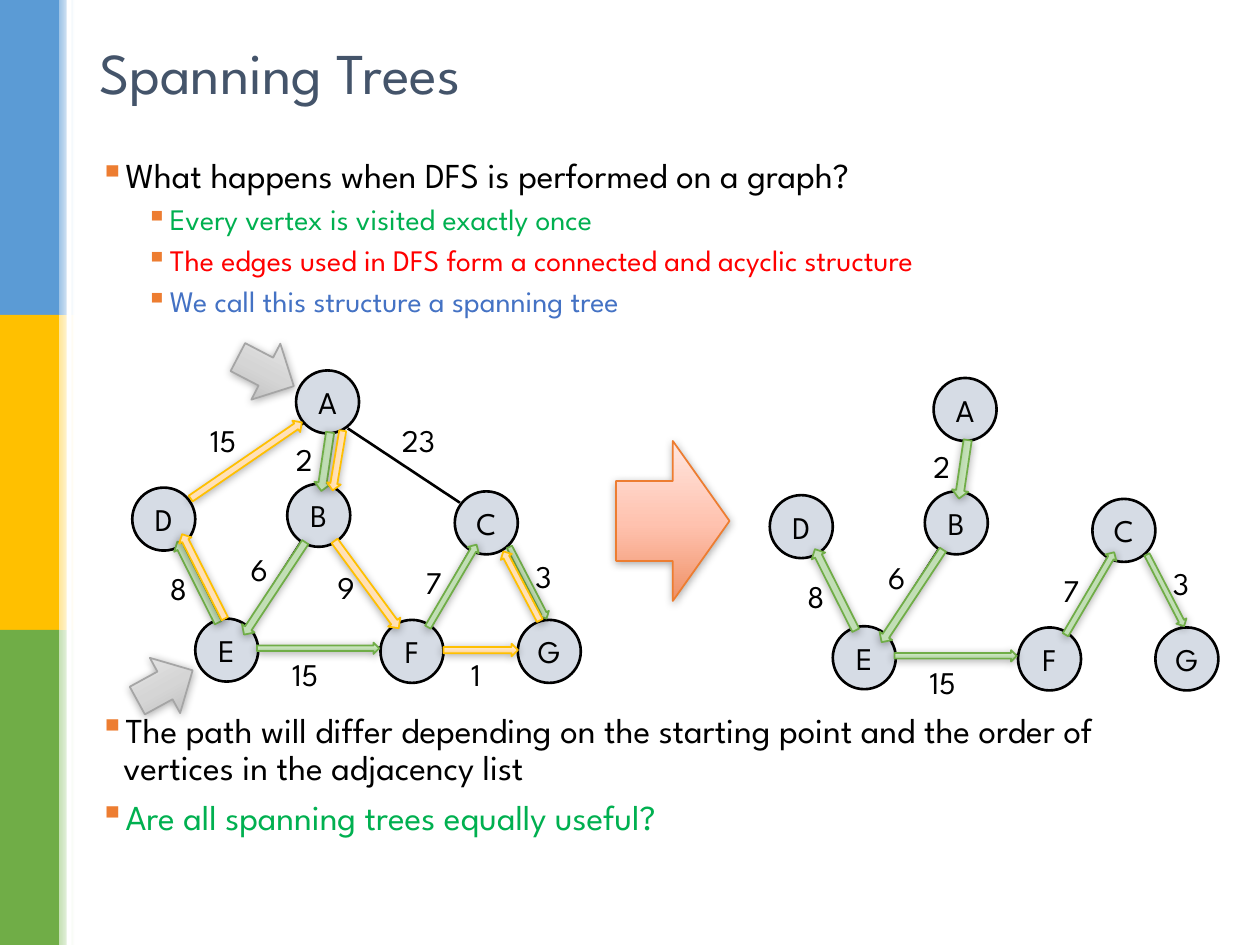
from dataclasses import dataclass

from lxml import etree
from pptx import Presentation
from pptx.dml.color import RGBColor
from pptx.enum.shapes import MSO_CONNECTOR, MSO_SHAPE
from pptx.enum.text import MSO_ANCHOR, PP_ALIGN
from pptx.oxml.ns import qn
from pptx.util import Inches, Pt

RECTANGLE, ELLIPSE, ARROW = MSO_SHAPE.RECTANGLE, MSO_SHAPE.OVAL, MSO_SHAPE.RIGHT_ARROW
STRAIGHT = MSO_CONNECTOR.STRAIGHT
MIDDLE, LEFT, CENTER = MSO_ANCHOR.MIDDLE, PP_ALIGN.LEFT, PP_ALIGN.CENTER


@dataclass(frozen=True)
class Theme:
    """Colours, font and type sizes of the slide."""
    font: str = "League Spartan"
    title_size: float = 33
    point_size: float = 20
    subpoint_size: float = 17
    label_size: float = 18
    title: str = "44546A"
    ink: str = "000000"
    paper: str = "FFFFFF"
    good: str = "00B050"
    alert: str = "FF0000"
    term: str = "4472C4"
    bullet: str = "ED7D31"
    node: str = "D6DCE5"
    # outline, then gradient from bottom to top
    green: tuple = ("70AD47", "88B76F", "C1DEB5", "E3F7DB")
    yellow: tuple = ("FFC000", "FFC75E", "FFE0B6", "FFF2E2")
    grey: tuple = ("A5A5A5", "B1B1B1", "D5D5D5", "EDEDED")
    orange: tuple = ("ED7D31", "EF9166", "FFC2AF", "FFE6DF")
    # band colour, fading edge colour
    bands: tuple = (("5B9BD5", "9DC3E6"), ("FFC000", "FFE699"), ("70AD47", "C5E0B4"))


THEME = Theme()
NODE_SIZE = 0.5
TREE_OFFSET = (5.06, 0.06)
NODES = {"A": (2.35, 2.94), "B": (2.28, 3.84), "C": (3.61, 3.9), "D": (1.05, 3.87),
         "E": (1.55, 4.91), "F": (3.02, 4.92), "G": (4.11, 4.92)}
# edge: line ends, weight, label position
EDGES = {
    "AB": ((2.6, 3.44, 2.55, 3.84), "2", (2.25, 3.44)),
    "BE": ((2.39, 4.3, 1.96, 4.97), "6", (1.89, 4.32)),
    "ED": ((1.71, 4.91, 1.42, 4.32), "8", (1.25, 4.47)),
    "EF": ((2.04, 5.16, 3.02, 5.14), "15", (2.22, 5.15)),
    "FC": ((3.4, 4.95, 3.73, 4.37), "7", (3.28, 4.42)),
    "CG": ((4.03, 4.32, 4.32, 4.91), "3", (4.15, 4.37)),
    "DA": ((1.5, 3.95, 2.42, 3.35), "15", (1.57, 3.29)),
    "AC": ((2.76, 3.4, 3.65, 3.99), "23", (3.09, 3.29)),
    "BF": ((2.65, 4.3, 3.12, 4.95), "9", (2.58, 4.46)),
    "FG": ((3.53, 5.15, 4.11, 5.16), "1", (3.64, 5.15)),
}
# arrow: left, top, width, height, rotation
PATH_FROM_A = {
    "AB": (2.35, 3.6, 0.47, 0.13, 98.5),
    "BE": (1.74, 4.61, 0.88, 0.12, 123.5),
    "ED": (1.21, 4.56, 0.72, 0.12, 243.3),
    "EF": (2.04, 5.1, 0.97, 0.09, 0),
    "FC": (3.21, 4.6, 0.76, 0.1, 300.5),
    "CG": (3.87, 4.58, 0.64, 0.09, 62.6),
}
PATH_FROM_E = {
    "ED": (1.24, 4.52, 0.75, 0.11, 243.2),
    "DA": (1.42, 3.6, 1.07, 0.11, 325.6),
    "AB": (2.44, 3.6, 0.48, 0.11, 99.5),
    "BF": (2.48, 4.58, 0.86, 0.12, 53.7),
    "FG": (3.52, 5.11, 0.59, 0.1, 0),
    "GC": (3.83, 4.6, 0.62, 0.1, 242.2),
}
START_MARKERS = ((1.86, 2.7, 0.5, 0.5, 27.4), (1.06, 5.19, 0.5, 0.5, 331.3))
RESULT_ARROW = (4.89, 3.5, 0.9, 1.27, 0)
# text, level, colour, space before in points
POINTS = (
    ("What happens when DFS is performed on a graph?", 0, THEME.ink, 6.5),
    ("Every vertex is visited exactly once", 1, THEME.good, 5),
    ("The edges used in DFS form a connected and acyclic structure", 1, THEME.alert, 5),
    ("We call this structure a spanning tree", 1, THEME.term, 5),
    ("The path will differ depending on the starting point and the order of "
     "vertices in the adjacency list", 0, THEME.ink, 225),
    ("Are all spanning trees equally useful?", 0, THEME.good, 6.5),
)


def style_text(paragraph, size, color):
    """Format every run of a paragraph."""
    for run in paragraph.runs:
        run.font.name, run.font.size = THEME.font, Pt(size)
        run.font.color.rgb = RGBColor.from_string(color)


def fill_gradient(shape, colors, angle, middle=48):
    """Fill a shape with a linear gradient of two or three colours."""
    shape.fill.gradient()
    shape.fill.gradient_angle = angle
    stops = shape._element.spPr.find(qn("a:gradFill")).find(qn("a:gsLst"))
    for stop in list(stops):
        stops.remove(stop)
    positions = (0, middle, 100) if len(colors) == 3 else (0, 100)
    for position, color in zip(positions, colors):
        stop = etree.SubElement(stops, qn("a:gs"), pos=str(position * 1000))
        etree.SubElement(stop, qn("a:srgbClr"), val=color)


def add_preset(slide, preset, left, top, width, height, fill=None, line=None, weight=1):
    """Add a preset shape without shadow, with optional solid fill and outline."""
    shape = slide.shapes.add_shape(
        preset, Inches(left), Inches(top), Inches(width), Inches(height))
    shape.shadow.inherit = False
    if fill:
        shape.fill.solid()
        shape.fill.fore_color.rgb = RGBColor.from_string(fill)
    if line:
        shape.line.color.rgb = RGBColor.from_string(line)
        shape.line.width = Pt(weight)
    else:
        shape.line.fill.background()
    return shape


def add_sidebar(slide):
    """Add the coloured bands with fading edges at the left."""
    for row, (color, edge) in enumerate(THEME.bands):
        add_preset(slide, RECTANGLE, 0, row * 2.5, 0.47, 2.5, color)
        fade = add_preset(slide, RECTANGLE, 0.47, row * 2.5, 0.12, 2.5)
        fill_gradient(fade, (edge, THEME.paper), 0)
    add_preset(slide, RECTANGLE, 0.53, 0, 0.04, 7.5, THEME.paper)


def add_title(slide, text):
    """Place and format the title placeholder."""
    title = slide.shapes.title
    title.left, title.top, title.width, title.height = map(Inches, (0.69, 0.26, 8.62, 0.68))
    title.text_frame.text = text
    title.text_frame.vertical_anchor = MIDDLE
    paragraph = title.text_frame.paragraphs[0]
    paragraph.alignment = LEFT
    paragraph.line_spacing = 0.9
    style_text(paragraph, THEME.title_size, THEME.title)


def add_points(slide):
    """Add the bulleted text, leaving room for the graphs in the middle."""
    frame = slide.shapes.add_textbox(
        Inches(0.69), Inches(1.21), Inches(8.92), Inches(6.17)).text_frame
    frame.word_wrap = True
    for index, (text, level, color, gap) in enumerate(POINTS):
        paragraph = frame.add_paragraph() if index else frame.paragraphs[0]
        paragraph.text, paragraph.level = text, level
        paragraph.line_spacing, paragraph.space_before = 0.9, Pt(gap)
        style_text(paragraph, THEME.subpoint_size if level else THEME.point_size, color)
        properties = paragraph._p.get_or_add_pPr()
        properties.set("marL", str(Inches(0.56 if level else 0.19)))
        properties.set("indent", str(Inches(-0.19)))
        bullet_color = etree.SubElement(properties, qn("a:buClr"))
        etree.SubElement(bullet_color, qn("a:srgbClr"), val=THEME.bullet)
        etree.SubElement(properties, qn("a:buChar"), char="▪")


def add_edge(slide, ends):
    """Add a plain edge line."""
    edge = slide.shapes.add_connector(STRAIGHT, *map(Inches, ends))
    edge.line.color.rgb = RGBColor.from_string(THEME.ink)
    edge.line.width = Pt(1.5)
    etree.SubElement(edge._element.spPr, qn("a:effectLst"))


def add_node(slide, name, left, top):
    """Add a named vertex."""
    node = add_preset(slide, ELLIPSE, left, top, NODE_SIZE, NODE_SIZE,
                      THEME.node, THEME.ink, 1.5)
    frame = node.text_frame
    frame.text, frame.word_wrap, frame.vertical_anchor = name, False, MIDDLE
    frame.paragraphs[0].alignment = CENTER
    style_text(frame.paragraphs[0], THEME.label_size, THEME.ink)


def add_weight(slide, text, left, top):
    """Add an edge weight."""
    width = 0.2 + 0.14 * len(text)
    frame = slide.shapes.add_textbox(
        Inches(left), Inches(top), Inches(width), Inches(0.4)).text_frame
    frame.text, frame.word_wrap = text, False
    style_text(frame.paragraphs[0], THEME.label_size, THEME.ink)


def add_arrow(slide, box, palette, dx=0, dy=0):
    """Add a block arrow with gradient and soft shadow."""
    left, top, width, height, rotation = box
    outline, *gradient = palette
    arrow = add_preset(slide, ARROW, left + dx, top + dy, width, height, line=outline)
    arrow.rotation = rotation
    fill_gradient(arrow, gradient, 90)
    effects = arrow._element.spPr.find(qn("a:effectLst"))
    shadow = etree.SubElement(effects, qn("a:outerShdw"), blurRad=str(Pt(5)),
                              dist=str(Pt(1)), dir="5400000", rotWithShape="0")
    color = etree.SubElement(shadow, qn("a:srgbClr"), val=THEME.ink)
    etree.SubElement(color, qn("a:alpha"), val="32000")


def add_graph(slide, edge_names, dx=0, dy=0):
    """Add the vertices, the named edges and the depth-first path from A."""
    for name in edge_names:
        x1, y1, x2, y2 = EDGES[name][0]
        add_edge(slide, (x1 + dx, y1 + dy, x2 + dx, y2 + dy))
    for name, (left, top) in NODES.items():
        add_node(slide, name, left + dx, top + dy)
    for name in edge_names:
        _, weight, (left, top) = EDGES[name]
        add_weight(slide, weight, left + dx, top + dy)
    for box in PATH_FROM_A.values():
        add_arrow(slide, box, THEME.green, dx, dy)


def main():
    """Build and save the slide."""
    deck = Presentation()
    deck.slide_width, deck.slide_height = Inches(10), Inches(7.5)
    slide = deck.slides.add_slide(deck.slide_layouts[5])
    add_sidebar(slide)
    add_title(slide, "Spanning Trees")
    add_points(slide)
    add_graph(slide, EDGES)
    add_arrow(slide, RESULT_ARROW, THEME.orange)
    add_graph(slide, PATH_FROM_A, *TREE_OFFSET)
    for box in START_MARKERS:
        add_arrow(slide, box, THEME.grey)
    for box in PATH_FROM_E.values():
        add_arrow(slide, box, THEME.yellow)
    deck.save("out.pptx")


main()
